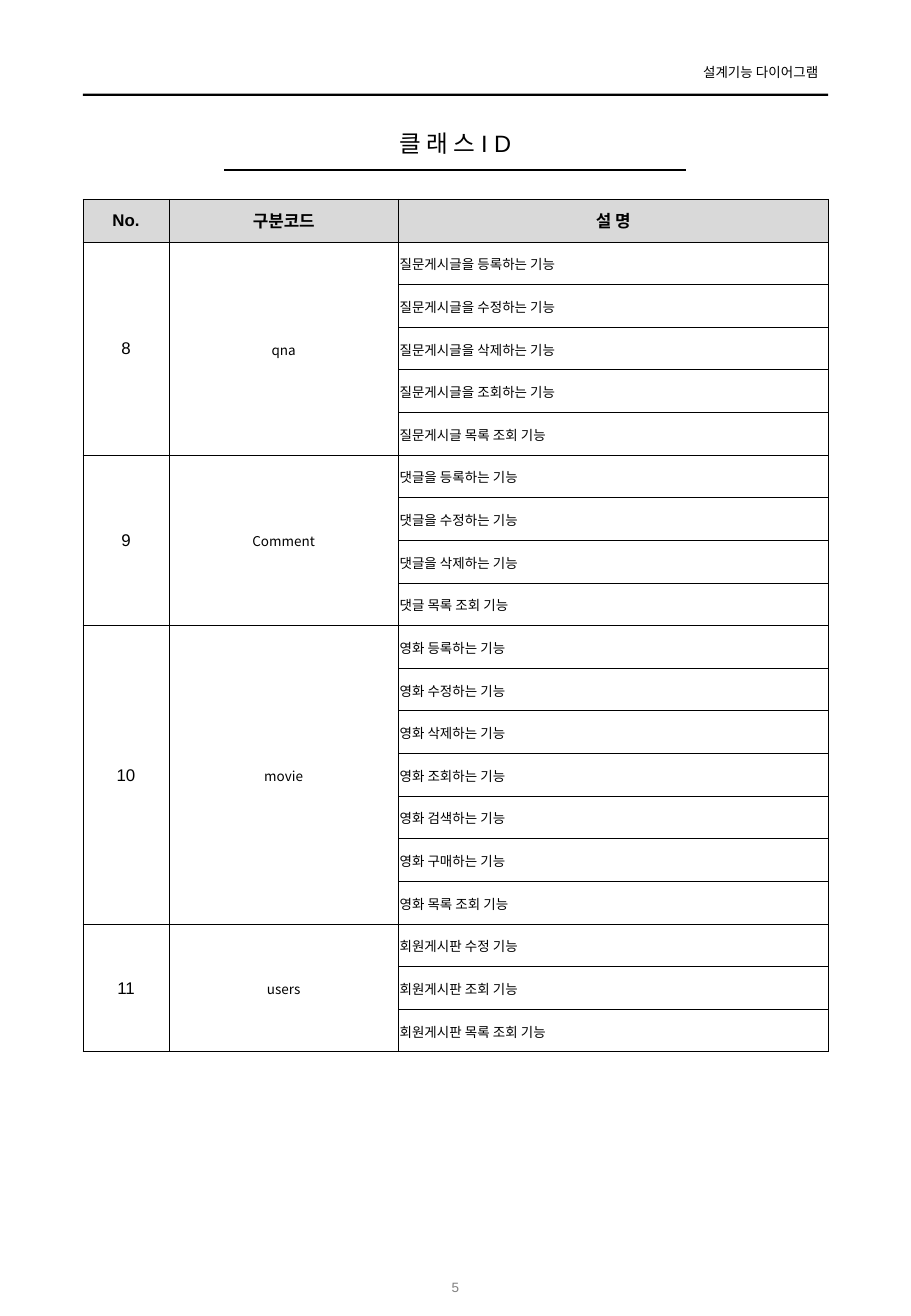
from lxml import etree
from pptx import Presentation
from pptx import util as u
from pptx.dml import color
from pptx.enum import shapes, text
from pptx.oxml import ns

HUES = {"ink": "000000", "head": "D9D9D9", "page": "808080", "paper": "FFFFFF"}
SANS, HAN = "Arial", "Noto Sans CJK KR"
LEFT, MID, RIGHT = text.PP_ALIGN.LEFT, text.PP_ALIGN.CENTER, text.PP_ALIGN.RIGHT
COLS = (71, 189, 354)
HEADS = ("No.", "구분코드", "설 명")
FIRST = 8
GROUPS = (
    ("qna", ("질문게시글을 등록하는 기능", "질문게시글을 수정하는 기능",
             "질문게시글을 삭제하는 기능", "질문게시글을 조회하는 기능",
             "질문게시글 목록 조회 기능")),
    ("Comment", ("댓글을 등록하는 기능", "댓글을 수정하는 기능",
                 "댓글을 삭제하는 기능", "댓글 목록 조회 기능")),
    ("movie", ("영화 등록하는 기능", "영화 수정하는 기능", "영화 삭제하는 기능",
               "영화 조회하는 기능", "영화 검색하는 기능", "영화 구매하는 기능",
               "영화 목록 조회 기능")),
    ("users", ("회원게시판 수정 기능", "회원게시판 조회 기능",
               "회원게시판 목록 조회 기능")),
)

deck = Presentation()
deck.slide_width, deck.slide_height = u.Inches(7.5), u.Inches(10.83)
slide = deck.slides.add_slide(deck.slide_layouts[6])


def rgb(hue):
    return color.RGBColor.from_string(HUES[hue])


def share(x, y, wide, high):
    """Turn percents of the slide into lengths."""
    w, h = deck.slide_width, deck.slide_height
    return [int(n * size / 100) for n, size in zip((x, y, wide, high), (w, h, w, h))]


def write(frame, words, size, align, face=SANS, hue="ink", bold=False):
    frame.text = words
    par = frame.paragraphs[0]
    par.alignment = align
    font = par.runs[0].font
    font.size, font.bold, font.name = u.Pt(size), bold, face
    font.color.rgb = rgb(hue)
    east = etree.SubElement(par.runs[0]._r.get_or_add_rPr(), ns.qn("a:ea"))
    east.set("typeface", HAN)


def label(box, words, size, align, sides=(0.1, 0.1), hue="ink", anchor="TOP"):
    frame = slide.shapes.add_textbox(*box).text_frame
    frame.word_wrap = True
    frame.margin_left, frame.margin_right = map(u.Inches, sides)
    frame.vertical_anchor = text.MSO_ANCHOR[anchor]
    write(frame, words, size, align, hue=hue)


def banner(box):
    x, y, wide, high = box
    # Running head over a full-width rule
    span = wide // 5
    label((x + wide - span, y, span, int(high * 0.77)), "설계기능 다이어그램", 8, RIGHT, (0.1, 0.08))
    thick = u.Inches(0.02)
    rule = slide.shapes.add_shape(shapes.MSO_SHAPE.RECTANGLE, x, y + high - thick, wide, thick)
    rule.shadow.inherit = False
    rule.fill.solid()
    rule.fill.fore_color.rgb = rgb("ink")
    rule.line.fill.background()


def title(box):
    x, y, wide, high = box
    # Underline, centred below the title
    ends = [x + int(wide * part) for part in (0.19, 0.81)]
    line = slide.shapes.add_connector(shapes.MSO_CONNECTOR.STRAIGHT, ends[0], y + high, ends[1], y + high)
    line.line.width = u.Pt(1)
    line.line.color.rgb = rgb("ink")
    etree.SubElement(line._element.spPr, ns.qn("a:effectLst"))
    label((x, y, wide, int(high * 0.87)), "클 래 스 I D", 14, MID, (0, 0))


def footer(box):
    label(box, "5", 8, MID, hue="page", anchor="MIDDLE")


def edge(cell):
    props = cell._tc.get_or_add_tcPr()
    for spot, side in enumerate(("lnL", "lnR", "lnT", "lnB")):
        line = etree.Element(ns.qn("a:" + side), w=str(u.Pt(0.5)))
        fill = etree.SubElement(line, ns.qn("a:solidFill"))
        etree.SubElement(fill, ns.qn("a:srgbClr"), val=HUES["ink"])
        props.insert(spot, line)


def grid(box):
    count = 1 + sum(len(tasks) for _, tasks in GROUPS)
    table = slide.shapes.add_table(count, len(COLS), *box).table
    table.first_row = table.horz_banding = False
    for col, part in zip(table.columns, COLS):
        col.width = box[2] * part // sum(COLS)
    for row in table.rows:
        row.height = box[3] // count

    # Fill, borders and insets of every cell
    for n, row in enumerate(table.rows):
        for cell in row.cells:
            cell.fill.solid()
            cell.fill.fore_color.rgb = rgb("paper" if n else "head")
            cell.vertical_anchor = text.MSO_ANCHOR.MIDDLE
            if n:
                cell.margin_left = cell.margin_right = cell.margin_top = u.Inches(0.01)
                cell.margin_bottom = 0
            edge(cell)

    # Header row
    for col, words in enumerate(HEADS):
        write(table.cell(0, col).text_frame, words, 10, MID, bold=True)

    # Groups: number and code span all their tasks
    top = 1
    for num, (code, tasks) in enumerate(GROUPS, FIRST):
        for col in (0, 1):
            table.cell(top, col).merge(table.cell(top + len(tasks) - 1, col))
        write(table.cell(top, 0).text_frame, str(num), 10, MID)
        write(table.cell(top, 1).text_frame, code, 8, MID, HAN)
        for row, task in enumerate(tasks, top):
            write(table.cell(row, 2).text_frame, task, 8, LEFT, HAN)
        top += len(tasks)


banner(share(9.1, 4.43, 81.8, 2.86))
title(share(9.1, 9.33, 81.8, 3.6))
footer(share(43.75, 95.94, 12.5, 3.69))
grid(share(9.1, 15.14, 81.8, 64.8))

deck.save("out.pptx")
